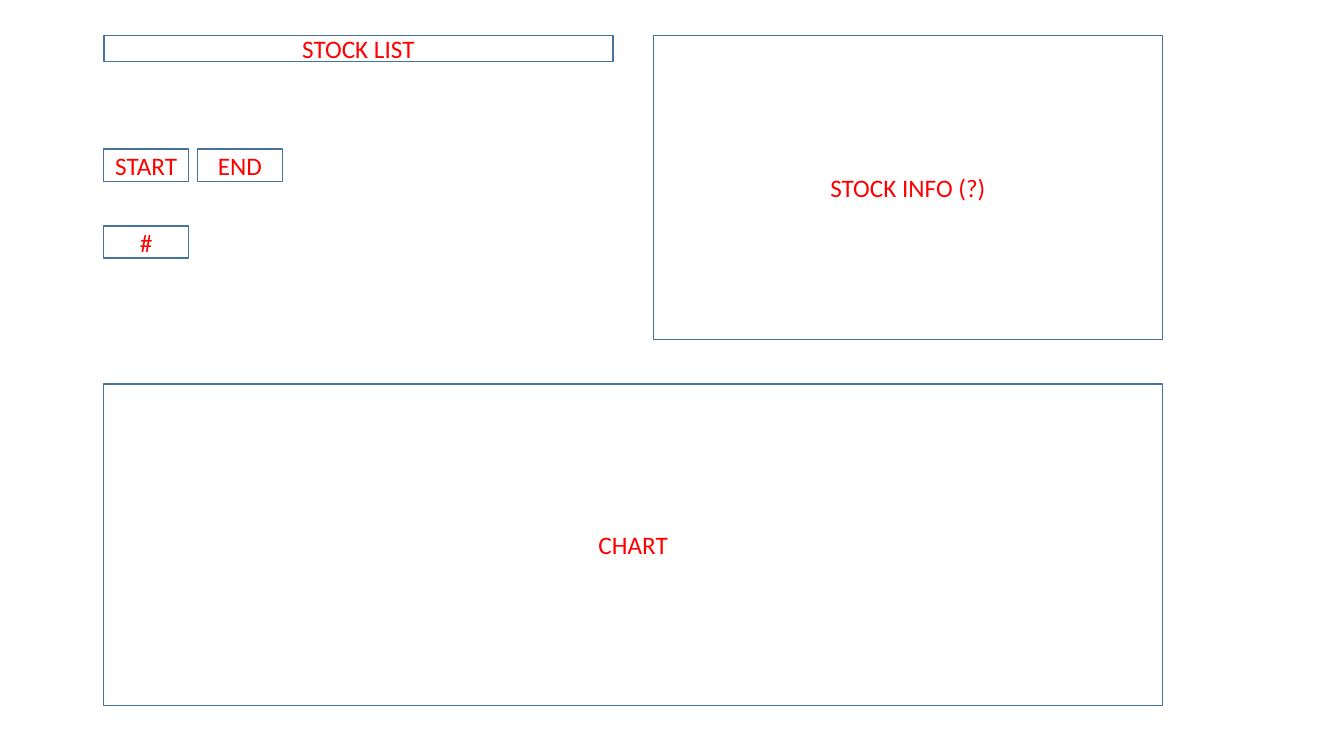
from pptx import Presentation
from pptx.dml.color import RGBColor
from pptx.enum.shapes import MSO_SHAPE
from pptx.enum.text import MSO_ANCHOR, PP_ALIGN
from pptx.util import Inches, Pt

RECT = MSO_SHAPE.RECTANGLE
MIDDLE = MSO_ANCHOR.MIDDLE
CENTER = PP_ALIGN.CENTER


def color(value):
    return RGBColor.from_string(value)


prs = Presentation()
prs.slide_width = Inches(13.33)
prs.slide_height = Inches(7.5)
blank = prs.slide_layouts[6]
s = prs.slides.add_slide(blank)

left, top = 1.03, 0.35
panel_w, full_w = 5.05, 10.5
info_left = left + full_w - panel_w
field_w, field_h, field_step = 0.84, 0.32, 0.93

boxes = [
    ("STOCK LIST", left, top, panel_w, 0.26),
    ("CHART", left, 3.81, full_w, 3.19),
    ("START", left, 1.48, field_w, field_h),
    ("END", left + field_step, 1.48, field_w, field_h),
    ("#", left, 2.24, field_w, field_h),
    ("STOCK INFO (?)", info_left, top, panel_w, 3.02),
]

for text, x, y, w, h in boxes:
    sp = s.shapes.add_shape(RECT, Inches(x), Inches(y), Inches(w), Inches(h))
    sp.shadow.inherit = False
    sp.fill.background()
    sp.line.color.rgb = color("43739E")
    sp.line.width = Pt(1)
    tf = sp.text_frame
    tf.word_wrap = True
    tf.vertical_anchor = MIDDLE
    p = tf.paragraphs[0]
    p.text = text
    p.alignment = CENTER
    p.font.name = "Calibri"
    p.font.size = Pt(18)
    p.font.color.rgb = color("FF0000")

prs.save("out.pptx")
